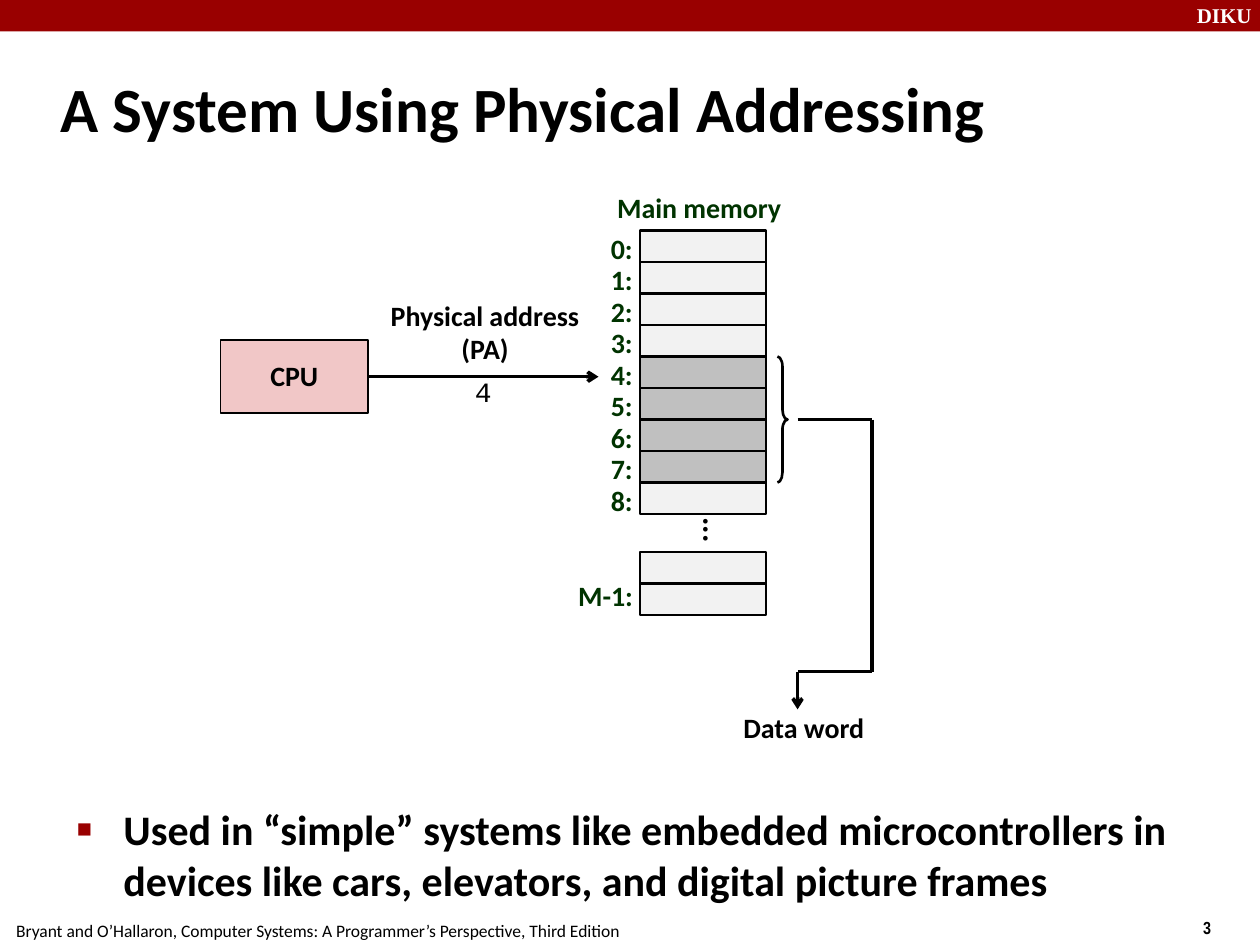
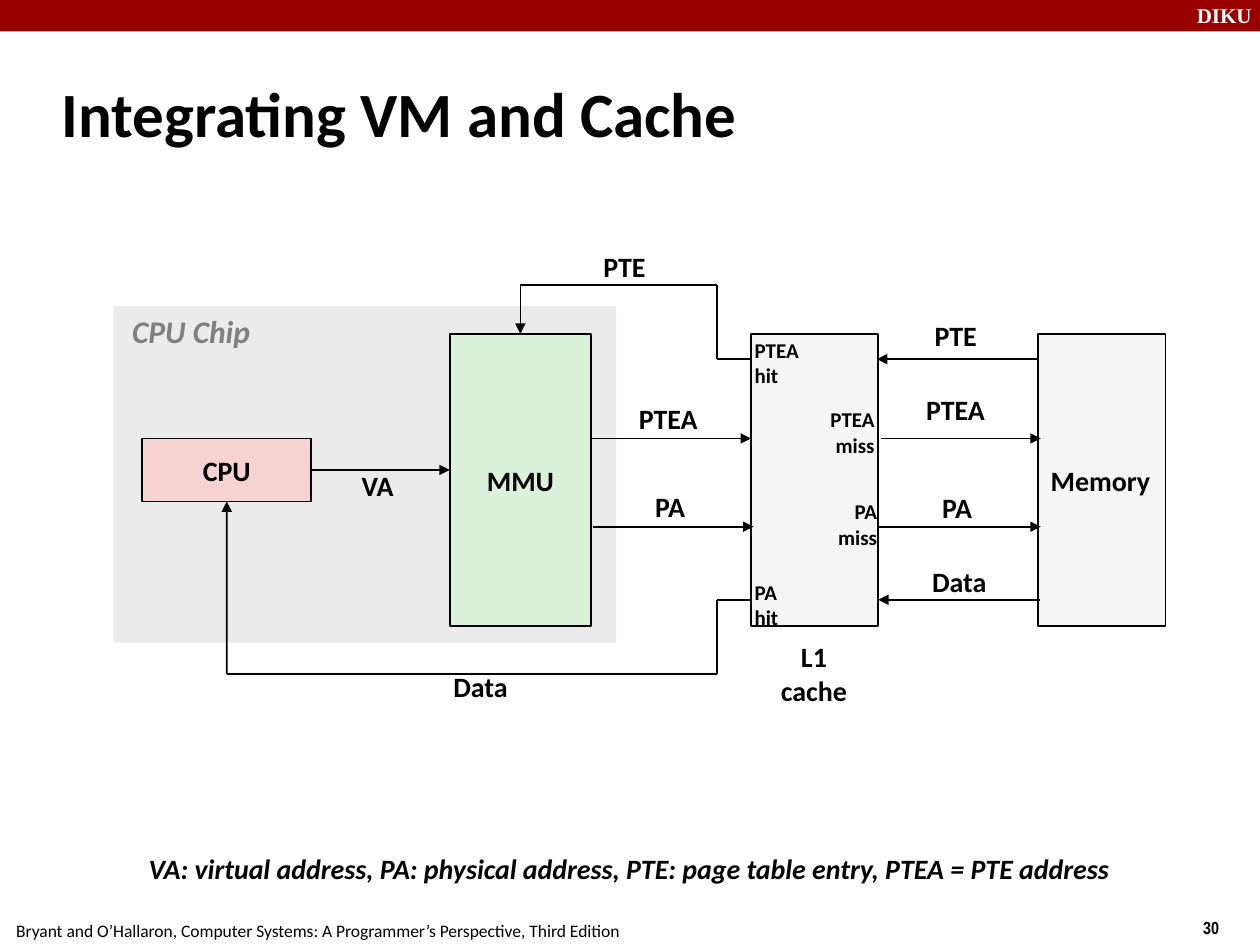
import lxml.etree
import pptx
import pptx.dml.color
import pptx.enum.shapes
import pptx.enum.text
import pptx.oxml
import pptx.oxml.ns
import pptx.util

Inches = pptx.util.Inches
Pt = pptx.util.Pt
rgb = pptx.dml.color.RGBColor.from_string
Shape = pptx.enum.shapes.MSO_SHAPE
Align = pptx.enum.text.PP_ALIGN
Anchor = pptx.enum.text.MSO_ANCHOR
qn = pptx.oxml.ns.qn

BLACK, WHITE, RED, GREEN = "000000", "FFFFFF", "990000", "003300"
LIGHT, SHADED, PALE = "F2F2F2", "C0C0C0", "F5F5F5"
WIDE, TIGHT = (0.1, 0.05), (0.07, 0.03)
FOOTER = "Bryant and O’Hallaron, Computer Systems: A Programmer’s Perspective, Third Edition"


def add_box(page, at, text="", fill=None, outline=None, size=16, color=BLACK,
            font="Calibri", bold=True, italic=False, align=Align.LEFT,
            anchor=Anchor.TOP, spacing=1.0, inset=WIDE, wrap=False):
    """Add a filled rectangle, or a text box when there is no fill."""
    place = [Inches(length) for length in at]
    if fill:
        box = page.shapes.add_shape(Shape.RECTANGLE, *place)
        box.shadow.inherit = False
        box.fill.solid()
        box.fill.fore_color.rgb = rgb(fill)
        if outline:
            box.line.color.rgb = rgb(BLACK)
            box.line.width = Pt(outline)
        else:
            box.line.fill.background()
    else:
        box = page.shapes.add_textbox(*place)
    if text:
        frame = box.text_frame
        frame.text = text
        frame.word_wrap = wrap
        frame.vertical_anchor = anchor
        # Only the side the text starts from has an inset, so that tight labels fit
        frame.margin_left = Inches(inset[0] if align == Align.LEFT else 0)
        frame.margin_right = Inches(inset[0] if align == Align.RIGHT else 0)
        frame.margin_top = frame.margin_bottom = Inches(inset[1])
        for para in frame.paragraphs:
            para.alignment = align
            para.line_spacing = spacing
            para.font.name = font
            para.font.size = Pt(size)
            para.font.bold = bold
            para.font.italic = italic
            para.font.color.rgb = rgb(color)
    return box


def add_route(page, points, width=1, head=None, start=None, end=None):
    """Join points with straight connectors; start and end are (shape, side)."""
    for (x1, y1), (x2, y2) in zip(points, points[1:]):
        line = page.shapes.add_connector(
            pptx.enum.shapes.MSO_CONNECTOR.STRAIGHT,
            Inches(x1), Inches(y1), Inches(x2), Inches(y2))
        line.line.color.rgb = rgb(BLACK)
        line.line.width = Pt(width)
        lxml.etree.SubElement(line._element.spPr, qn("a:effectLst"))
        if start and (x1, y1) == points[0]:
            line.begin_connect(*start)
        if (x2, y2) == points[-1]:
            if end:
                line.end_connect(*end)
            if head:
                tail = lxml.etree.SubElement(line.line._get_or_add_ln(), qn("a:tailEnd"))
                tail.set("type", head)


deck = pptx.Presentation()
deck.slide_width, deck.slide_height = Inches(10), Inches(7.5)

# Shared band, title and footer
pages = []
for layout, title, at, number in (
        (1, "A System Using Physical Addressing", (0.38, 0.42, 9.53, 0.86), "3"),
        (5, "Integrating VM and Cache", (0.39, 0.48, 8.3, 0.83), "30")):
    page = deck.slides.add_slide(deck.slide_layouts[layout])
    pages.append(page)
    add_box(page, (0, 0, 10, 0.25), fill=RED)
    add_box(page, (9.4, -0.03, 0.67, 0.3), "DIKU", size=12, color=WHITE,
            font="Times New Roman", wrap=True)
    add_box(page, (9.45, 7.23, 0.75, 0.29), number, size=10, font="Arial Narrow", wrap=True)
    add_box(page, (0.03, 7.25, 4.99, 0.26), FOOTER, size=10, bold=False)
    heading = page.shapes.title
    heading.left, heading.top, heading.width, heading.height = map(Inches, at)
    heading.text_frame.text = title
    heading.text_frame.auto_size = pptx.enum.text.MSO_AUTO_SIZE.NONE
    heading.text_frame.vertical_anchor = Anchor.MIDDLE
    para = heading.text_frame.paragraphs[0]
    para.alignment = Align.LEFT
    para.font.name, para.font.size, para.font.bold = "Calibri", Pt(36), True
    para.font.color.rgb = rgb(BLACK)

addressing, caching = pages

# Physical addressing: bullet
body = addressing.placeholders[1]
body.left, body.top, body.width, body.height = map(Inches, (0.5, 6.33, 9.08, 0.96))
body.text_frame.text = ("Used in “simple” systems like embedded microcontrollers in "
                        "devices like cars, elevators, and digital picture frames")
body.text_frame.auto_size = pptx.enum.text.MSO_AUTO_SIZE.NONE
para = body.text_frame.paragraphs[0]
properties = para._p.get_or_add_pPr()
properties.set("marL", str(Inches(0.38)))
properties.set("indent", str(Inches(-0.37)))
bullet_color = lxml.etree.SubElement(properties, qn("a:buClr"))
lxml.etree.SubElement(bullet_color, qn("a:srgbClr")).set("val", RED)
lxml.etree.SubElement(properties, qn("a:buSzPct")).set("val", "60000")
lxml.etree.SubElement(properties, qn("a:buFont")).set("typeface", "Arial")
lxml.etree.SubElement(properties, qn("a:buChar")).set("char", "■")
para.space_before = Pt(0)
para.font.name, para.font.size, para.font.bold = "Calibri", Pt(24), True
para.font.color.rgb = rgb(BLACK)

# Physical addressing: main memory
add_box(addressing, (4.8, 1.5, 1.5, 0.36), "Main memory", color=GREEN,
        align=Align.CENTER, spacing=0.88)
row_height = 0.25
for address in range(9):
    top = 1.83 + address * row_height
    add_box(addressing, (5.08, top, 1, row_height), outline=1.5,
            fill=SHADED if 4 <= address <= 7 else LIGHT)
    add_box(addressing, (4.75, top - 0.01, 0.37, 0.36), f"{address}:",
            color=GREEN, spacing=0.88)
for top in (4.38, 4.63):
    add_box(addressing, (5.08, top, 1, row_height), fill=LIGHT, outline=1.5)
add_box(addressing, (4.49, 4.58, 0.63, 0.36), "M-1:", color=GREEN, spacing=0.88)
dots = add_box(addressing, (5.17, 4.08, 1, 0.25), "...", size=18, align=Align.CENTER,
               anchor=Anchor.MIDDLE, spacing=0.98)
dots.text_frame._txBody.bodyPr.set("vert", "vert")

# Physical addressing: address sent by the CPU
cpu = add_box(addressing, (1.75, 2.7, 1.17, 0.58), "CPU", fill="F1C7C7", outline=1,
              align=Align.CENTER, anchor=Anchor.MIDDLE, spacing=0.98)
add_route(addressing, [(2.92, 2.99), (4.75, 2.99)], 2, "arrow", start=(cpu, 3))
add_box(addressing, (3, 2.33, 1.7, 0.63), "Physical address\n(PA)",
        align=Align.CENTER, anchor=Anchor.MIDDLE, spacing=0.98)
add_box(addressing, (3.67, 2.92, 0.33, 0.36), "4", font="Courier New", bold=False)

# Physical addressing: data word returned
brace = addressing.shapes.add_shape(Shape.RIGHT_BRACE, Inches(6.17), Inches(2.83),
                                    Inches(0.08), Inches(1))
brace.adjustments[0] = 1
brace.shadow.inherit = False
brace.fill.background()
brace.line.color.rgb = rgb(BLACK)
brace.line.width = Pt(1.5)
add_route(addressing, [(6.33, 3.33), (6.92, 3.33), (6.92, 5.33), (6.33, 5.33), (6.33, 5.63)],
          2, "arrow")
add_box(addressing, (5.8, 5.6, 1.16, 0.37), "Data word",
        align=Align.CENTER, anchor=Anchor.MIDDLE, spacing=0.98)

# VM and cache: chip and blocks
add_box(caching, (0.9, 2.43, 3.99, 2.67), fill="EBEBEB")
add_box(caching, (0.95, 2.43, 1.14, 0.4), "CPU Chip", size=18, color="808080", italic=True)
cpu, mmu, cache, memory = [
    add_box(caching, at, text, fill=fill, outline=1, align=align, anchor=Anchor.MIDDLE)
    for at, text, fill, align in (
        ((1.13, 3.48, 1.34, 0.5), "CPU", "F6D2D2", Align.CENTER),
        ((3.57, 2.65, 1.12, 2.32), "MMU", "DBF2DA", Align.CENTER),
        ((5.96, 2.65, 1.01, 2.32), "", PALE, Align.CENTER),
        ((8.24, 2.65, 1.01, 2.32), "Memory", PALE, Align.LEFT))]
add_box(caching, (6.1, 5.03, 0.72, 0.63), "L1\ncache",
        align=Align.CENTER, anchor=Anchor.MIDDLE)

# VM and cache: arrows
for points, start, end in (
        ([(2.47, 3.73), (3.57, 3.73)], (cpu, 3), None),
        ([(4.69, 3.48), (5.96, 3.48)], None, None),
        ([(4.71, 4.18), (5.98, 4.18)], None, None),
        ([(6.99, 3.48), (8.26, 3.48)], None, None),
        ([(6.97, 4.18), (8.26, 4.18)], None, None),
        ([(8.24, 2.85), (6.96, 2.85)], None, None),
        ([(8.25, 4.76), (6.97, 4.76)], None, None),
        ([(5.96, 2.85), (5.69, 2.85), (5.69, 2.26), (4.13, 2.26), (4.13, 2.65)], None, (mmu, 0)),
        ([(5.96, 4.76), (5.69, 4.76), (5.69, 5.35), (1.8, 5.35), (1.8, 3.98)], None, (cpu, 2))):
    add_route(caching, points, head="triangle", start=start, end=end)

# VM and cache: arrow labels
for left, top, width, text in (
        (2.8, 3.73, 0.39, "VA"), (5, 3.2, 0.61, "PTEA"),
        (5.13, 3.9, 0.38, "PA"), (7.28, 3.13, 0.61, "PTEA")):
    add_box(caching, (left, top, width, 0.32), text, spacing=0.85, inset=TIGHT)
for left, top, width, text in (
        (4.69, 1.93, 0.53, "PTE"), (7.32, 2.48, 0.53, "PTE"), (7.38, 3.85, 0.44, "PA"),
        (3.5, 5.27, 0.63, "Data"), (7.3, 4.43, 0.63, "Data")):
    add_box(caching, (left, top, width, 0.36), text, anchor=Anchor.MIDDLE)

# VM and cache: hits and misses inside the cache
for left, top, width, text, align in (
        (5.89, 2.63, 0.59, "PTEA\nhit", Align.LEFT),
        (6.49, 3.18, 0.55, "PTEA\nmiss", Align.RIGHT),
        (6.55, 3.91, 0.51, "PA\nmiss", Align.RIGHT),
        (5.89, 4.55, 0.41, "PA\nhit", Align.LEFT)):
    add_box(caching, (left, top, width, 0.5), text, size=12, align=align, anchor=Anchor.MIDDLE)

# VM and cache: legend
add_box(caching, (1.11, 6.77, 7.76, 0.32),
        "VA: virtual address, PA: physical address, PTE: page table entry, PTEA = PTE address",
        italic=True, spacing=0.85, inset=TIGHT)

deck.save("out.pptx")
